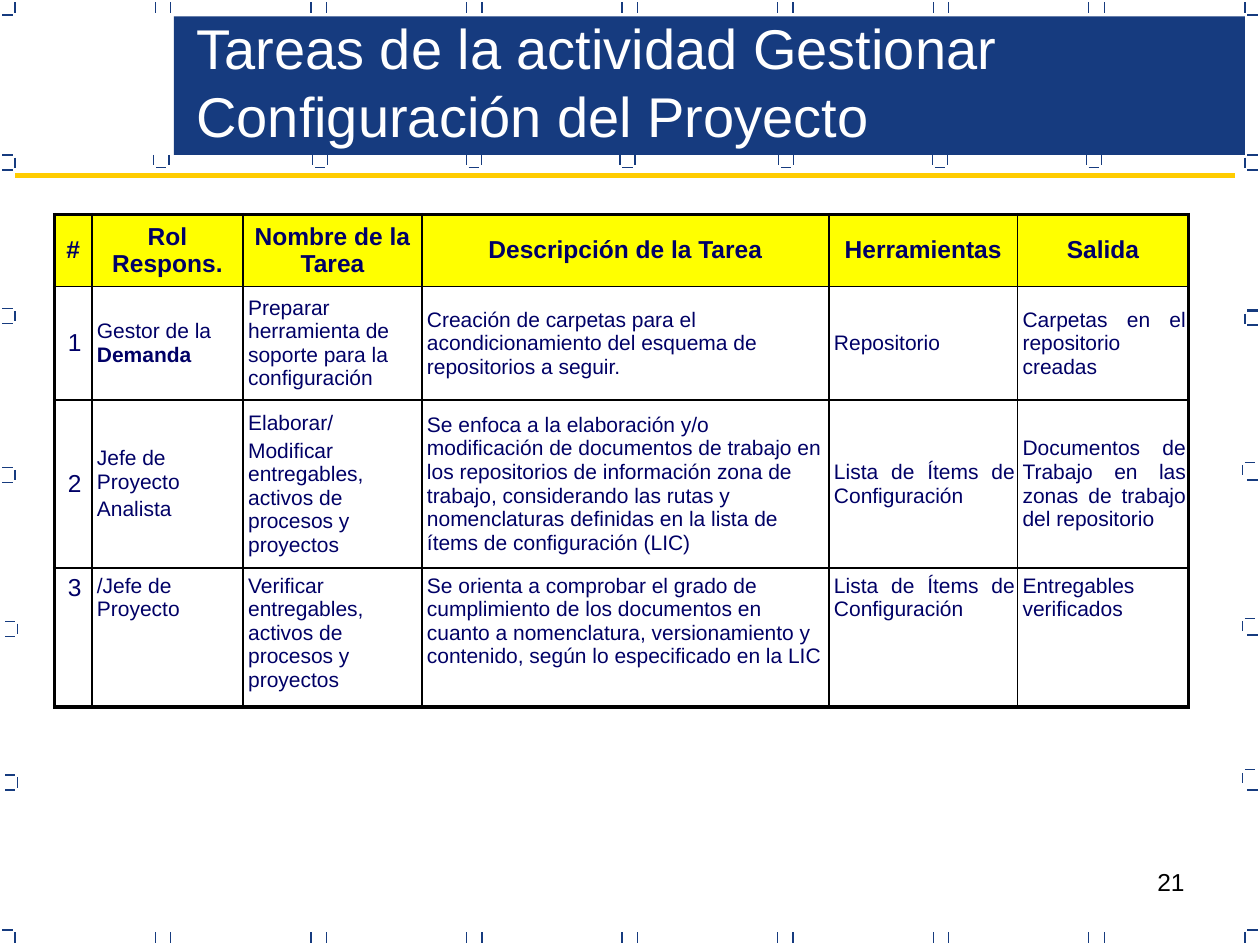
from dataclasses import dataclass
from lxml import etree
from pptx import Presentation
from pptx.dml.color import RGBColor
from pptx.enum import shapes, text
from pptx.oxml import ns
from pptx.util import Pt


@dataclass(frozen=True)
class Theme:
    """Colours, font and type sizes of the slide."""
    blue: str = "163B7F"
    gold: str = "FFCC00"
    head: str = "FFFF00"
    ink: str = "000066"
    black: str = "000000"
    white: str = "FFFFFF"
    font: str = "Arial"
    title: float = 32
    label: float = 14
    body: float = 12
    hair: float = 0.75
    rule: float = 3
    thin: float = 1
    frame: float = 2.25


T = Theme()
L, C, J = text.PP_ALIGN.LEFT, text.PP_ALIGN.CENTER, text.PP_ALIGN.JUSTIFY

COLS = (21.3, 86.4, 102.2, 232.6, 107.8, 97.7)
ROWS = (41.1, 64.6, 96, 79.4)
ALIGNS = (C, L, L, L, J, J)
ITEMS = "Lista de Ítems de Configuración"
CELLS = (
    ("#", "Rol Respons.", "Nombre de la Tarea", "Descripción de la Tarea",
     "Herramientas", "Salida"),
    ("1", "Gestor de la Demanda",
     "Preparar herramienta de soporte para la configuración",
     "Creación de carpetas para el acondicionamiento del esquema de "
     "repositorios a seguir.",
     "Repositorio", "Carpetas en el repositorio creadas"),
    ("2", "Jefe de Proyecto\nAnalista",
     "Elaborar/\nModificar entregables, activos de procesos y proyectos",
     "Se enfoca a la elaboración y/o modificación de documentos de trabajo "
     "en los repositorios de información zona de trabajo, considerando las "
     "rutas y nomenclaturas definidas en la lista de ítems de configuración "
     "(LIC)",
     ITEMS, "Documentos de Trabajo en las zonas de trabajo del repositorio"),
    ("3", "/Jefe de Proyecto",
     "Verificar entregables, activos de procesos y proyectos",
     "Se orienta a comprobar el grado de cumplimiento de los documentos en "
     "cuanto a nomenclatura, versionamiento y contenido, según lo "
     "especificado en la LIC",
     ITEMS, "Entregables verificados"),
)
BOLD = "Demanda"

# Edge marks: x of the upright, its middle y, then (x, y) of each dash.
LEFT = (
    (8.6, 4.3, ((1.4, 8.6),)),
    (8.6, 92.9, ((1.4, 88.6), (1.4, 97.2))),
    (8.6, 180.7, ((1.4, 176.4), (1.4, 185))),
    (8.6, 271.4, ((1.4, 267.1), (1.4, 275.8))),
    (10.1, 359.3, ((2.9, 355), (2.9, 363.6))),
    (10.1, 447.1, ((2.9, 442.8), (2.9, 451.4))),
    (8.6, 535.7, ((1.4, 531.4),)),
)
RIGHT = (
    (711.4, 4.3, ((712.8, 8.6),)),
    (711.4, 92.9, ((712.8, 88.6), (712.8, 97.2))),
    (711.4, 182.2, ((712.8, 177.1), (712.8, 177.8), (712.8, 185.8))),
    (709.9, 268.6, ((711.4, 264.2), (712.8, 274.3))),
    (709.9, 357.8, ((711.4, 353.5), (712.8, 362.9))),
    (709.9, 444.6, ((711.4, 439.9), (712.8, 451.4))),
    (711.4, 535.7, ((712.8, 531.4),)),
)
CUPS = (92.2, 182.9, 270.7, 358.6, 449.3, 537.1, 625)
DASH = 5.8


def rgb(code):
    """Turn a hex code into a colour."""
    return RGBColor.from_string(code)


def line(page, x1, y1, x2, y2, color=T.blue, width=T.hair):
    """Draw a straight line without a shadow."""
    rod = page.shapes.add_connector(
        shapes.MSO_CONNECTOR.STRAIGHT, Pt(x1), Pt(y1), Pt(x2), Pt(y2))
    rod.line.color.rgb = rgb(color)
    rod.line.width = Pt(width)
    etree.SubElement(rod._element.spPr, ns.qn("a:effectLst"))


def upright(page, x, mid):
    """Draw a short vertical tick around a middle."""
    line(page, x, mid - DASH / 2, x, mid + DASH / 2)


def marks(page):
    """Draw the ticks along the edges and under the title bar."""
    for i in range(7):
        for side in (-4.4, 4.4):
            for mid in (4.3, 535.7):
                upright(page, 93.2 + 88.9 * i + side, mid)
    for x, mid, bars in LEFT + RIGHT:
        upright(page, x, mid)
        for left, y in bars:
            line(page, left, y, left + DASH, y)
    for mid in CUPS:
        for side in (-4.3, 4.3):
            upright(page, mid + side, 91.4)
        line(page, mid - DASH / 2, 95.8, mid + DASH / 2, 95.8)


def style(run, size, color, bold=False):
    """Set the type of a run."""
    run.font.name = T.font
    run.font.size = Pt(size)
    run.font.bold = bold
    run.font.color.rgb = rgb(color)


def label(page, x, y, w, h, words, size, color, align=L,
          anchor=text.MSO_ANCHOR.TOP):
    """Add a wrapped text box."""
    frame = page.shapes.add_textbox(Pt(x), Pt(y), Pt(w), Pt(h)).text_frame
    frame.word_wrap = True
    frame.vertical_anchor = anchor
    frame.text = words
    para = frame.paragraphs[0]
    para.alignment = align
    style(para.runs[0], size, color)


def band(page):
    """Draw the title bar."""
    bar = page.shapes.add_shape(
        shapes.MSO_SHAPE.RECTANGLE, Pt(99.4), Pt(9.4), Pt(612), Pt(79.2))
    bar.shadow.inherit = False
    bar.fill.solid()
    bar.fill.fore_color.rgb = rgb(T.blue)
    bar.line.fill.background()


def edge(cell, tag, width):
    """Give one side of a cell a black border."""
    props = cell._tc.get_or_add_tcPr()
    side = etree.SubElement(props, ns.qn("a:" + tag), w=str(int(Pt(width))))
    fill = etree.SubElement(side, ns.qn("a:solidFill"))
    etree.SubElement(fill, ns.qn("a:srgbClr"), val=T.black)


def fill_cell(cell, words, r, c):
    """Write and format one table cell."""
    top, last = r == 0, r == len(ROWS) - 1
    outer = {"lnL": c == 0, "lnR": c == len(COLS) - 1, "lnT": top, "lnB": last}
    for tag, out in outer.items():
        edge(cell, tag, T.frame if out else T.thin)
    if top:
        cell.fill.solid()
        cell.fill.fore_color.rgb = rgb(T.head)
    else:
        cell.fill.background()
    cell.margin_left, cell.margin_right = Pt(0 if top else 2.9), Pt(0 if top else 1.4)
    cell.margin_top = cell.margin_bottom = Pt(3.6)
    cell.vertical_anchor = text.MSO_ANCHOR.TOP if last else text.MSO_ANCHOR.MIDDLE
    size = T.label if top or c == 0 else T.body
    cell.text_frame.text = words
    for para in cell.text_frame.paragraphs:
        para.alignment = C if top else ALIGNS[c]
        para.space_before = Pt(0.2 * size)
        if para.text.endswith(BOLD):
            para.runs[0].text = para.text.removesuffix(BOLD)
            para.add_run().text = BOLD
        for run in para.runs:
            style(run, size, T.ink, top or run.text == BOLD)


def grid(page):
    """Build the table of tasks."""
    table = page.shapes.add_table(
        len(ROWS), len(COLS), Pt(31.2), Pt(122.6), Pt(sum(COLS)), Pt(sum(ROWS))).table
    table.first_row = table.horz_banding = False
    for col, width in zip(table.columns, COLS):
        col.width = Pt(width)
    for r, (row, high) in enumerate(zip(table.rows, ROWS)):
        row.height = Pt(high)
        for c, cell in enumerate(row.cells):
            fill_cell(cell, CELLS[r][c], r, c)


def main():
    """Build and save the slide."""
    deck = Presentation()
    deck.slide_width, deck.slide_height = Pt(720), Pt(540)
    page = deck.slides.add_slide(deck.slide_layouts[6])
    label(page, 516.2, 491.8, 167.8, 37.4, "21", T.label, T.black, text.PP_ALIGN.RIGHT)
    marks(page)
    band(page)
    label(page, 105.1, 4.3, 595.4, 84.2,
          "Tareas de la actividad Gestionar Configuración del Proyecto",
          T.title, T.white, anchor=text.MSO_ANCHOR.MIDDLE)
    line(page, 8.6, 100.1, 705.6, 100.1, T.gold, T.rule)
    grid(page)
    deck.save("out.pptx")


main()
